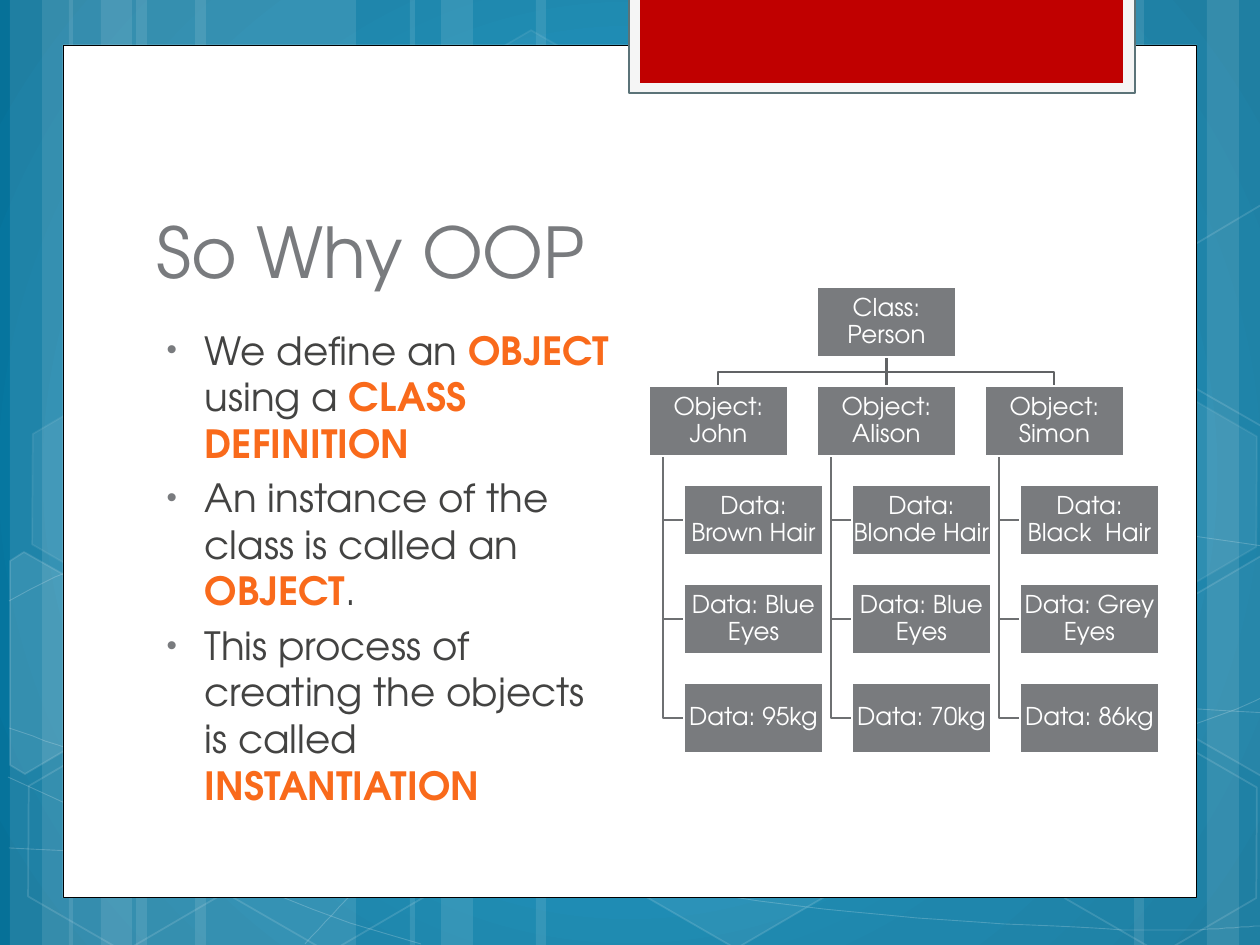
from lxml import etree
from pptx import Presentation
from pptx import util as u
from pptx.dml.color import RGBColor
from pptx.enum import shapes, text
from pptx.oxml.ns import qn

PX = 914400 / 126
FONT = "TeX Gyre Adventor"
COLORS = {
    "white": "FFFFFF", "black": "000000", "plate": "F5F5F5", "plate_edge": "5B7378",
    "red": "C00000", "grey": "797B7E", "text": "434342", "orange": "F96A1B",
    "branch": "616365", "rail": "6E7072",
}
BACKGROUND_STOPS = [(0, "078FC1"), (23, "078FC1"), (69, "0679A3"), (97, "067198")]

TITLE = "So Why OOP"
# Each bullet is a list of (words, highlighted).
BULLETS = [
    [("We define an ", False), ("OBJECT", True), (" using a ", False), ("CLASS DEFINITION", True)],
    [("An instance of the class is called an ", False), ("OBJECT", True), (".", False)],
    [("This process of creating the objects is called ", False), ("INSTANTIATION", True)],
]
ROOT = "Class: Person"
OBJECTS = [
    ("Object: John", ["Data: Brown Hair", "Data: Blue Eyes", "Data: 95kg"]),
    ("Object: Alison", ["Data: Blonde Hair", "Data: Blue Eyes", "Data: 70kg"]),
    ("Object: Simon", ["Data: Black  Hair", "Data: Grey Eyes", "Data: 86kg"]),
]

# Background decoration: (left, width) of the bands
BANDS = [(136, 220), (10, 63), (42, 105), (195, 220), (69, 63), (101, 105),
         (924, 220), (1207, 63), (1134, 105), (536, 388), (410, 63), (441, 105)]
# Start point, then Bezier segments of two control points and an end point
CURVES = [
    [(9, 848), (77, 852, 145, 856, 239, 854), (334, 853, 451, 851, 577, 838),
     (703, 825, 882, 801, 998, 777), (1113, 753, 1231, 716, 1269, 694)],
    [(9, 601), (45, 581, 82, 562, 152, 543), (224, 524, 326, 496, 437, 488),
     (549, 479, 685, 478, 824, 488), (963, 498, 1193, 537, 1269, 547)],
    [(8, 777), (160, 847, 311, 916, 421, 944)],
    [(9, 728), (48, 742, 88, 756, 161, 776), (234, 795, 344, 827, 450, 848),
     (554, 869, 687, 892, 791, 905), (896, 919, 1008, 924, 1075, 927),
     (1140, 932, 1158, 930, 1191, 930), (1223, 929, 1246, 927, 1269, 925)],
    [(305, 944), (328, 919, 350, 893, 381, 871), (411, 848, 454, 823, 489, 805),
     (524, 788, 546, 780, 592, 767), (638, 755, 722, 737, 766, 728),
     (811, 719, 818, 719, 857, 717), (896, 713, 958, 709, 1000, 708),
     (1045, 707, 1116, 708, 1116, 708), (1158, 708, 1201, 708, 1268, 713)],
]
# (left, top, fill opacity, line opacity); opacity in percent
HEXAGONS = [(421, 45, 4, 8), (626, 742, 6, 12), (14, 745, 0, 12), (18, 393, 7, 8),
            (219, 746, 0, 12), (949, 571, 10, 12), (1051, 747, 0, 12), (1051, 396, 7, 8)]
CUT_HEXAGONS = [
    (10, [(10, 561), (24, 552), (121, 607), (120, 718), (25, 774), (10, 765)]),
    (4, [(1167, 611), (1261, 556), (1271, 562), (1271, 772), (1263, 777), (1167, 722)]),
    (0, [(1167, 261), (1261, 205), (1273, 212), (1271, 422), (1263, 427), (1167, 372)]),
]


def px(value):
    return u.Emu(round(value * PX))


def set_all(target, values):
    for name, value in values.items():
        setattr(target, name, value)


def paint(fill, color, opacity=100):
    """Fill with a colour, or leave clear when opacity is 0."""
    if not opacity:
        fill.background()
        return
    fill.solid()
    fill.fore_color.rgb = RGBColor.from_string(COLORS[color])
    if opacity < 100:
        solid = fill._xPr.find(qn("a:solidFill"))
        etree.SubElement(solid[0], qn("a:alpha"), val=str(opacity * 1000))


def style(shape, fill="white", opacity=100, line=None, width=1, line_opacity=100):
    shape.shadow.inherit = False
    paint(shape.fill, fill, opacity)
    paint(shape.line.fill, line, line_opacity if line else 0)
    if line:
        shape.line.width = u.Pt(width)
    return shape


def add_box(slide, box, kind=shapes.MSO_SHAPE.RECTANGLE, **look):
    return style(slide.shapes.add_shape(kind, *map(px, box)), **look)


def add_outline(slide, points, close=False, **look):
    builder = slide.shapes.build_freeform(*points[0], scale=PX)
    builder.add_line_segments(points[1:], close=close)
    return style(builder.convert_to_shape(), **look)


def bezier_points(start, segments, steps=10):
    points = [start]
    for x1, y1, x2, y2, x3, y3 in segments:
        x0, y0 = points[-1]
        for step in range(1, steps + 1):
            t = step / steps
            weights = (1 - t) ** 3, 3 * t * (1 - t) ** 2, 3 * t * t * (1 - t), t ** 3
            points.append(tuple(sum(w * c for w, c in zip(weights, axis))
                                for axis in ((x0, x1, x2, x3), (y0, y1, y2, y3))))
    return points


def add_run(paragraph, words, size, color, bold=False):
    run = paragraph.add_run()
    run.text = words
    set_all(run.font, {"name": FONT, "size": u.Pt(size), "bold": bold})
    run.font.color.rgb = RGBColor.from_string(COLORS[color])


def draw_background(slide):
    slide.background.fill.gradient()
    gradient = slide.element.find(".//" + qn("a:gradFill"))
    for child in list(gradient):
        gradient.remove(child)
    stops = etree.SubElement(gradient, qn("a:gsLst"))
    for position, color in BACKGROUND_STOPS:
        stop = etree.SubElement(stops, qn("a:gs"), pos=str(position * 1000))
        etree.SubElement(stop, qn("a:srgbClr"), val=color)
    circle = etree.SubElement(gradient, qn("a:path"), {"path": "circle"})
    etree.SubElement(circle, qn("a:fillToRect"), dict.fromkeys("ltrb", "50000"))

    for left, width in BANDS:
        add_box(slide, (left, 0, width, 945), opacity=10)
    for start, *segments in CURVES:
        add_outline(slide, bezier_points(start, segments), opacity=0,
                    line="white", width=0.5, line_opacity=20)
    for left, top, opacity, line_opacity in HEXAGONS:
        hexagon = add_box(slide, (left, top, 220, 192), shapes.MSO_SHAPE.HEXAGON,
                          opacity=opacity, line="white", line_opacity=line_opacity)
        hexagon.adjustments[0] = 0.285
        hexagon.rotation = 30
    for opacity, points in CUT_HEXAGONS:
        add_outline(slide, points, close=True, opacity=opacity, line="white", line_opacity=12)

    add_box(slide, (63, 45, 1134, 853), line="black", width=0.5)
    add_box(slide, (629, -2, 506, 95), fill="plate", line="plate_edge", width=1.25)
    add_box(slide, (640, -2, 483, 85), fill="red")


def place(placeholder, box, anchor):
    """Move a placeholder to its box, in front of the decoration."""
    left, top, width, height = map(px, box)
    set_all(placeholder, {"left": left, "top": top, "width": width, "height": height})
    set_all(placeholder.text_frame, {"vertical_anchor": anchor, "word_wrap": True,
                                     "auto_size": text.MSO_AUTO_SIZE.NONE})
    placeholder._element.getparent().append(placeholder._element)
    return placeholder.text_frame


def write_text(slide):
    title = place(slide.shapes.title, (144, 141, 968, 158), text.MSO_ANCHOR.BOTTOM)
    title.paragraphs[0].alignment = text.PP_ALIGN.LEFT
    add_run(title.paragraphs[0], TITLE, 40, "grey")

    body = place(slide.placeholders[1], (144, 320, 486, 484), text.MSO_ANCHOR.TOP)
    for index, bullet in enumerate(BULLETS):
        paragraph = body.add_paragraph() if index else body.paragraphs[0]
        paragraph.space_before = u.Pt(4.4)
        properties = paragraph._p.get_or_add_pPr()
        properties.set("marL", str(px(48)))
        properties.set("indent", str(px(-38)))
        color = etree.SubElement(properties, qn("a:buClr"))
        etree.SubElement(color, qn("a:srgbClr"), val=COLORS["grey"])
        etree.SubElement(properties, qn("a:buSzPct"), val="76000")
        etree.SubElement(properties, qn("a:buFont"), typeface="Arial")
        etree.SubElement(properties, qn("a:buChar"), char="•")
        for words, strong in bullet:
            add_run(paragraph, words, 22.2, "orange" if strong else "text", strong)


def draw_tree(slide):
    left, top, width, height = 649, 287, 139, 70
    column, row, indent, rail = 168, 99, 35, 14
    middle = left + column + width / 2
    root_bottom, object_top = top + height, top + row
    bend = (root_bottom + object_top) / 2
    nodes = [(ROOT, left + column, top)]

    for index, (name, data) in enumerate(OBJECTS):
        x = left + index * column
        center = x + width / 2
        nodes.append((name, x, object_top))
        if center == middle:
            stem = slide.shapes.add_connector(shapes.MSO_CONNECTOR.STRAIGHT,
                                              *map(px, (center, root_bottom, center, object_top)))
            paint(stem.line.fill, "branch")
            stem.line.width = u.Pt(1.25)
            etree.SubElement(stem._element.spPr, qn("a:effectLst"))
        else:
            add_outline(slide, [(middle, root_bottom), (middle, bend), (center, bend),
                                (center, object_top)], opacity=0, line="branch", width=1.25)
        for level, label in enumerate(data, 2):
            y = top + level * row
            nodes.append((label, x + indent, y))
            add_outline(slide, [(x + rail, object_top + height), (x + rail, y + height / 2),
                                (x + indent, y + height / 2)],
                        opacity=0, line="rail", width=1.25)

    for label, x, y in nodes:
        node = add_box(slide, (x, y, width, height), fill="grey", line="white", width=1.25)
        frame = node.text_frame
        set_all(frame, {"word_wrap": True, "vertical_anchor": text.MSO_ANCHOR.MIDDLE})
        set_all(frame, {"margin_" + side: px(1) for side in ("left", "top", "right", "bottom")})
        set_all(frame.paragraphs[0], {"alignment": text.PP_ALIGN.CENTER, "line_spacing": 0.9})
        add_run(frame.paragraphs[0], label, 14, "white")


def main():
    presentation = Presentation()
    set_all(presentation, {"slide_width": px(1260), "slide_height": px(945)})
    slide = presentation.slides.add_slide(presentation.slide_layouts[1])
    draw_background(slide)
    write_text(slide)
    draw_tree(slide)
    presentation.save("out.pptx")


if __name__ == "__main__":
    main()
